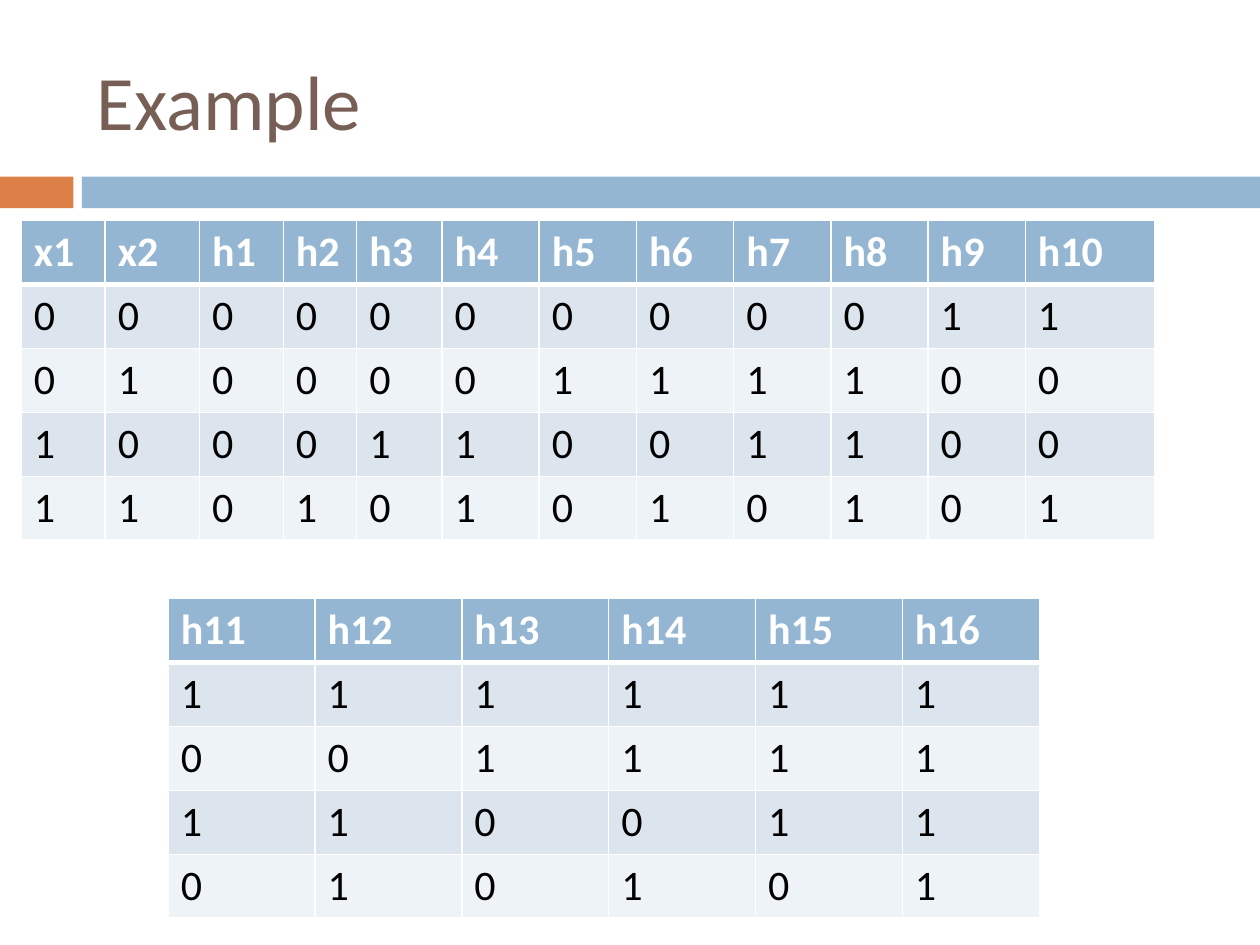
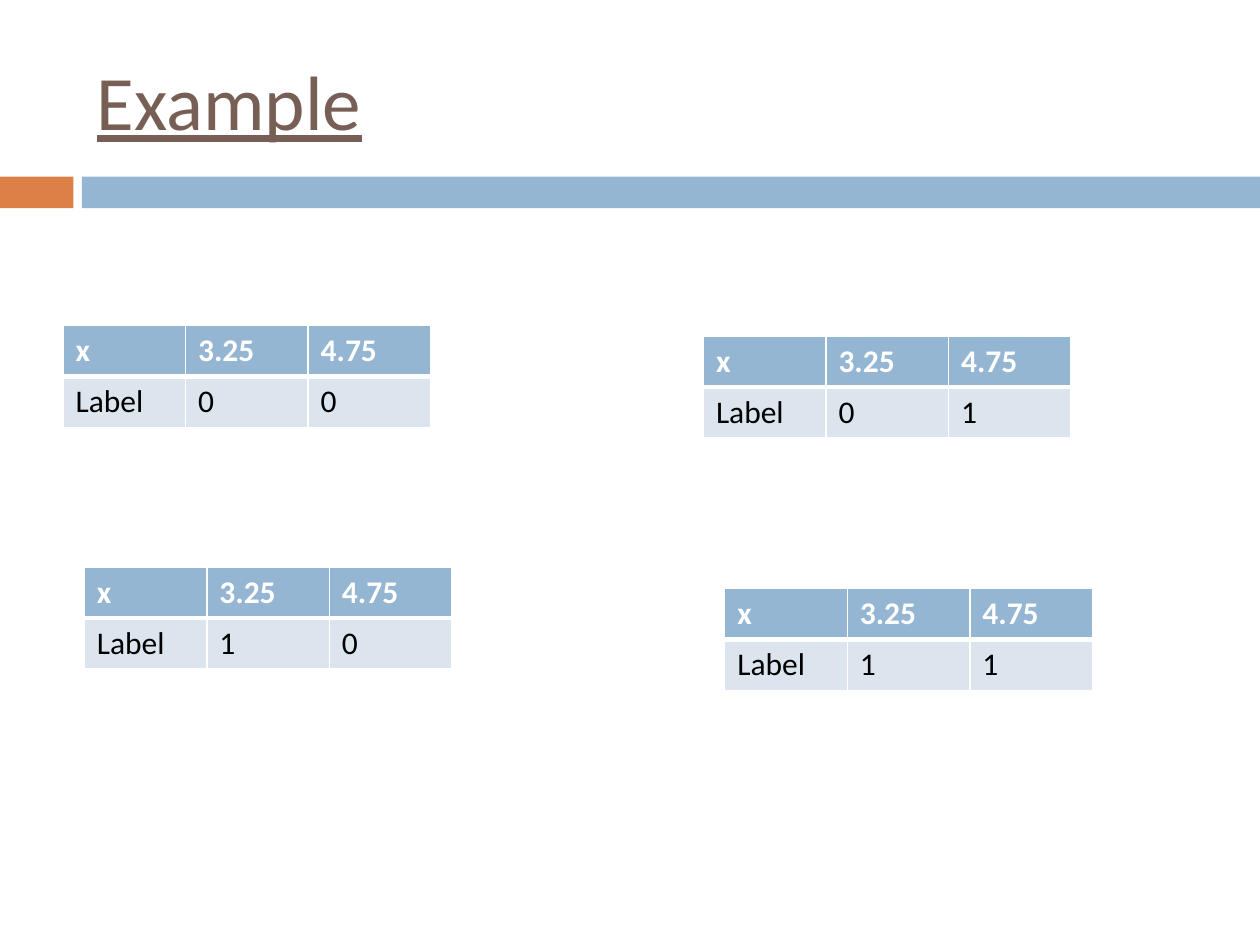
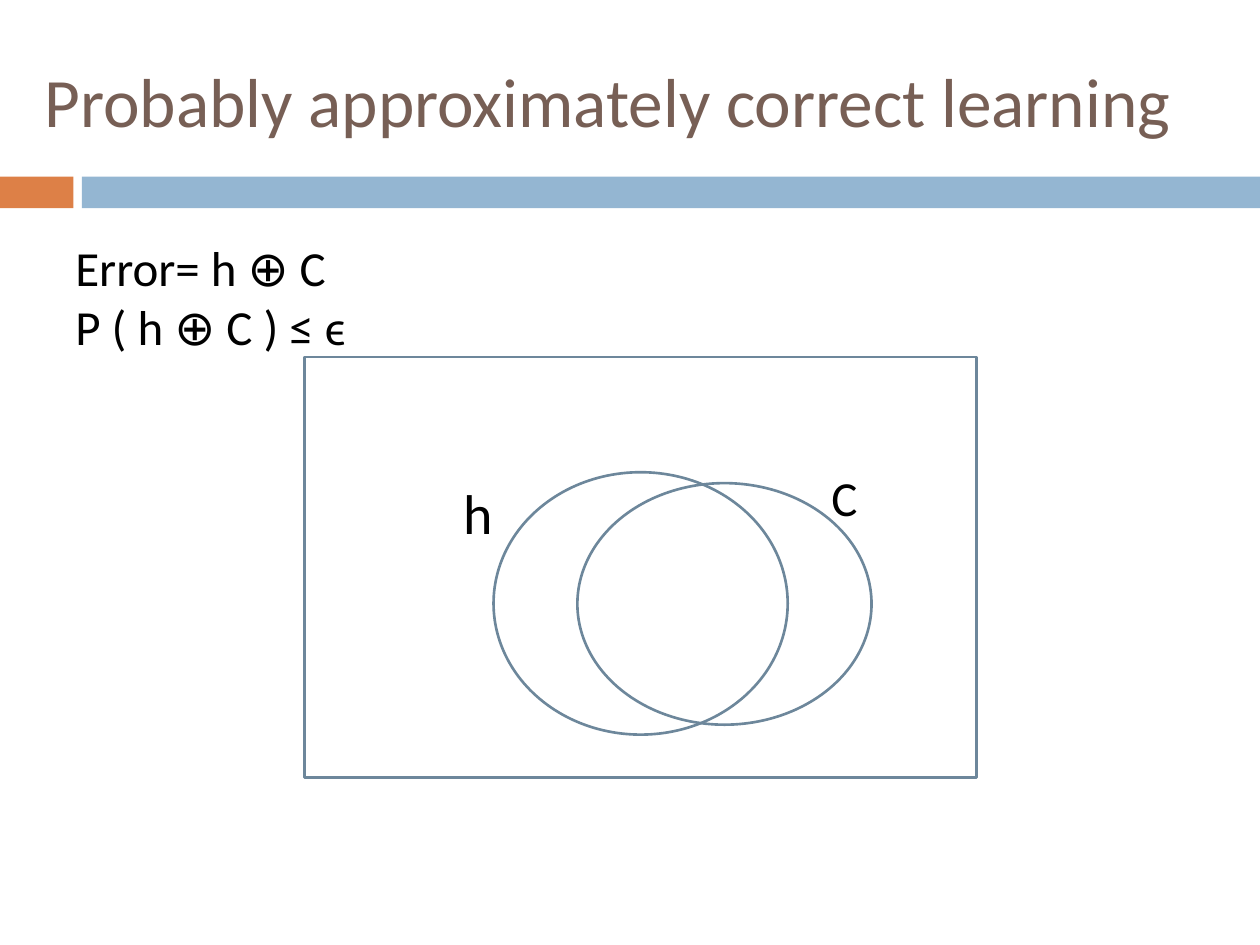
"""Build three slides on hypothesis tables and probably approximately correct learning."""
from lxml import etree
from pptx import Presentation
from pptx.dml.color import RGBColor
from pptx.enum.shapes import MSO_SHAPE
from pptx.enum.text import MSO_ANCHOR, MSO_AUTO_SIZE, PP_ALIGN
from pptx.oxml.ns import qn
from pptx.util import Cm, Pt

RECTANGLE, ELLIPSE = MSO_SHAPE.RECTANGLE, MSO_SHAPE.OVAL
LEFT, MIDDLE = PP_ALIGN.LEFT, MSO_ANCHOR.MIDDLE
FIXED, GROW = MSO_AUTO_SIZE.NONE, MSO_AUTO_SIZE.SHAPE_TO_FIT_TEXT

FONT = "Calibri"
TITLE_ONLY = 5
BROWN = RGBColor(0x77, 0x5F, 0x55)
ORANGE = RGBColor(0xDD, 0x80, 0x47)
BLUE = RGBColor(0x94, 0xB6, 0xD2)
STEEL = RGBColor(0x6D, 0x87, 0x9B)
DARK_ROW = RGBColor(0xDC, 0xE5, 0xEE)
LIGHT_ROW = RGBColor(0xEE, 0xF3, 0xF7)
WHITE = RGBColor(0xFF, 0xFF, 0xFF)
BLACK = RGBColor(0, 0, 0)

ROW_HEIGHT = 1.03
THIN, THICK = Pt(1), Pt(3)


class Deck:
    """Hold the shared style and the current slide."""

    def __init__(self):
        self.presentation = Presentation()
        self.presentation.slide_width = Cm(25.4)
        self.presentation.slide_height = Cm(19.05)
        self.slide = None

    def format_text(self, frame, size, color, bold=False, underline=None):
        for paragraph in frame.paragraphs:
            paragraph.alignment = LEFT
            for run in paragraph.runs:
                font = run.font
                font.name, font.size = FONT, Pt(size)
                font.bold, font.underline = bold, underline
                font.color.rgb = color

    def start_slide(self, heading, left=1.7, width=22.66, size=44, underline=None):
        layout = self.presentation.slide_layouts[TITLE_ONLY]
        self.slide = self.presentation.slides.add_slide(layout)
        self.shape(RECTANGLE, 0, 3.56, 1.48, 0.64, fill=ORANGE)
        self.shape(RECTANGLE, 1.65, 3.56, 23.75, 0.64, fill=BLUE)
        title = self.slide.shapes.title
        title.left, title.top = Cm(left), Cm(0.64)
        title.width, title.height = Cm(width), Cm(2.74)
        frame = title.text_frame
        frame.text = heading
        frame.auto_size, frame.vertical_anchor = FIXED, MIDDLE
        self.format_text(frame, size, BROWN, underline=underline)

    def shape(self, preset, left, top, width, height, fill=None, line=None):
        shape = self.slide.shapes.add_shape(
            preset, Cm(left), Cm(top), Cm(width), Cm(height))
        shape.shadow.inherit = False
        for part, color in ((shape.fill, fill), (shape.line.fill, line)):
            if color is None:
                part.background()
            else:
                part.solid()
                part.fore_color.rgb = color
        if line is not None:
            shape.line.width = Pt(1.5)

    def text(self, words, left, top, width, height, size=28):
        box = self.slide.shapes.add_textbox(Cm(left), Cm(top), Cm(width), Cm(height))
        frame = box.text_frame
        frame.text = words
        frame.word_wrap, frame.auto_size = True, GROW
        self.format_text(frame, size, BLACK)

    def borders(self, cell, top, bottom):
        properties = cell._tc.get_or_add_tcPr()
        widths = {"lnL": THIN, "lnR": THIN, "lnT": top, "lnB": bottom}
        for position, (side, width) in enumerate(widths.items()):
            line = etree.Element(qn(f"a:{side}"), w=str(width))
            fill = etree.SubElement(line, qn("a:solidFill"))
            etree.SubElement(fill, qn("a:srgbClr"), val=str(WHITE))
            properties.insert(position, line)

    def table(self, rows, left, top, widths, size):
        table = self.slide.shapes.add_table(
            len(rows), len(widths), Cm(left), Cm(top),
            Cm(sum(widths)), Cm(ROW_HEIGHT * len(rows))).table
        for column, width in zip(table.columns, widths):
            column.width = Cm(width)
        for index, values in enumerate(rows):
            header = index == 0
            fill = BLUE if header else DARK_ROW if index % 2 else LIGHT_ROW
            for cell, value in zip(table.rows[index].cells, values):
                cell.text = str(value)
                cell.fill.solid()
                cell.fill.fore_color.rgb = fill
                self.format_text(cell.text_frame, size,
                                 WHITE if header else BLACK, bold=header)
                self.borders(cell, THICK if index == 1 else THIN,
                             THICK if header else THIN)


def hypothesis_rows(first, last):
    """Give the header and the four outputs of each Boolean hypothesis."""
    numbers = range(first, last + 1)
    outputs = zip(*(f"{number - 1:04b}" for number in numbers))
    return [[f"h{number}" for number in numbers], *map(list, outputs)]


def main():
    deck = Deck()

    deck.start_slide("Example")
    inputs = [["x1", "x2"], [0, 0], [0, 1], [1, 0], [1, 1]]
    first_rows = [pair + row for pair, row in zip(inputs, hypothesis_rows(1, 10))]
    first_widths = [1.69, 1.9, 1.69, 1.48, 1.72] + [1.96] * 6 + [2.61]
    deck.table(first_rows, 0.43, 4.45, first_widths, 24)
    deck.table(hypothesis_rows(11, 16), 3.39, 12.07, [2.96] * 5 + [2.77], 24)

    deck.start_slide("Example", underline=True)
    labelings = [
        (1.27, 6.56, 0, 0),
        (14.61, 11.86, 1, 1),
        (1.7, 11.43, 1, 0),
        (14.18, 6.77, 0, 1),
    ]
    for left, top, *labels in labelings:
        deck.table([["x", "3.25", "4.75"], ["Label", *labels]],
                   left, top, [2.47] * 3, 18)

    deck.start_slide("Probably approximately correct learning",
                     left=0.64, width=23.72, size=39.6)
    deck.shape(RECTANGLE, 6.14, 7.2, 13.55, 8.47, line=STEEL)
    deck.shape(ELLIPSE, 11.64, 9.74, 5.93, 4.87, line=STEEL)
    deck.shape(ELLIPSE, 9.95, 9.52, 5.93, 5.29, line=STEEL)
    deck.text("C", 16.51, 9.31, 1.27, 1.45)
    deck.text("h", 9.1, 9.53, 1.27, 1.62, size=32)
    deck.text("Error= h ⊕ C\nP ( h ⊕ C ) ≤ ϵ", 1.27, 4.66, 7.2, 2.65)

    deck.presentation.save("out.pptx")


if __name__ == "__main__":
    main()
